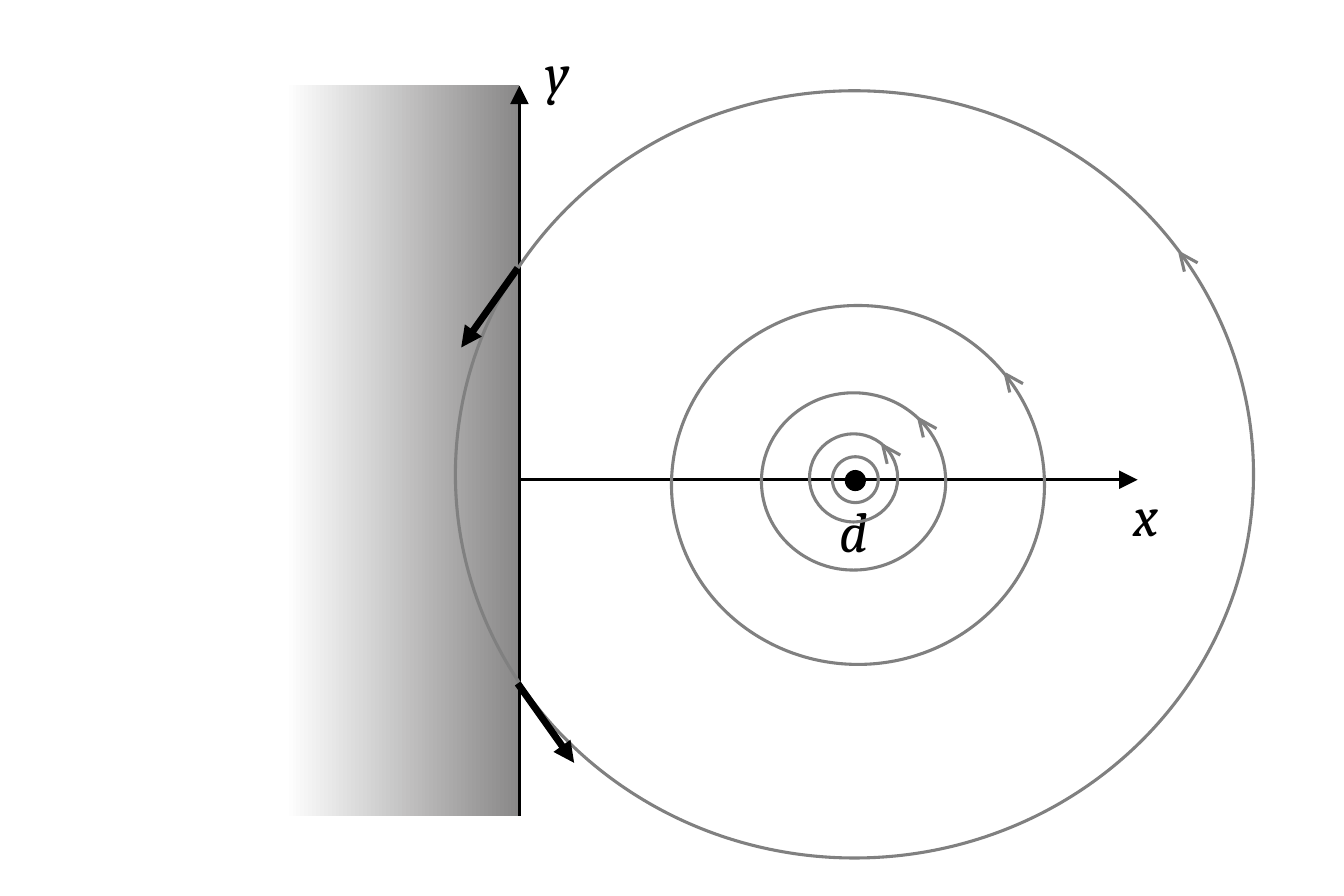
from lxml import etree
from pptx import Presentation
from pptx import util as u
from pptx.dml.color import RGBColor
from pptx.enum import shapes, text
from pptx.oxml.ns import qn

BLACK = RGBColor(0x00, 0x00, 0x00)
GRAY = RGBColor(0x80, 0x80, 0x80)
WALL_GRAY = RGBColor(0x89, 0x88, 0x88)
WHITE = RGBColor(0xFF, 0xFF, 0xFF)

prs = Presentation()
prs.slide_width, prs.slide_height = u.Cm(15.24), u.Cm(10.16)
slide = prs.slides.add_slide(prs.slide_layouts[6])


def add_line(x1, y1, x2, y2, color, width, arrow=False):
    line = slide.shapes.add_connector(
        shapes.MSO_CONNECTOR.STRAIGHT, u.Cm(x1), u.Cm(y1), u.Cm(x2), u.Cm(y2))
    line.line.color.rgb = color
    line.line.width = u.Pt(width)
    if arrow:
        etree.SubElement(line.line._get_or_add_ln(), qn("a:tailEnd"), type="triangle")
    etree.SubElement(line._element.spPr, qn("a:effectLst"))


def add_ellipse(cx, cy, width, height):
    ellipse = slide.shapes.add_shape(
        shapes.MSO_SHAPE.OVAL, u.Cm(cx - width / 2), u.Cm(cy - height / 2),
        u.Cm(width), u.Cm(height))
    ellipse.shadow.inherit = False
    return ellipse


# Wall fading out to the left
wall = slide.shapes.add_shape(
    shapes.MSO_SHAPE.RECTANGLE, u.Cm(3.23), u.Cm(0.97), u.Cm(2.66), u.Cm(8.28))
wall.shadow.inherit = False
wall.line.fill.background()
wall.fill.gradient()
wall.fill.gradient_angle = 180
for stop, position, color in zip(wall.fill.gradient_stops, (0, 1), (WALL_GRAY, WHITE)):
    stop.position = position
    stop.color.rgb = color

# Axes
add_line(5.89, 9.25, 5.89, 0.97, BLACK, 1, arrow=True)
add_line(5.89, 5.44, 12.9, 5.44, BLACK, 1, arrow=True)

# Labels of the axes and of the vortex
for label, left, top in [("y", 5.89, 0.3), ("x", 12.57, 5.33), ("d", 9.27, 5.51)]:
    box = slide.shapes.add_textbox(u.Cm(left), u.Cm(top), u.Cm(0.82), u.Cm(1.02))
    box.text_frame.word_wrap = False
    box.text_frame.auto_size = text.MSO_AUTO_SIZE.SHAPE_TO_FIT_TEXT
    paragraph = box.text_frame.paragraphs[0]
    paragraph.text = label
    paragraph.alignment = text.PP_ALIGN.RIGHT
    paragraph.font.name = "Cambria"
    paragraph.font.size = u.Pt(18)
    paragraph.font.italic = True
    paragraph.font.color.rgb = BLACK

# Vortex centre
vortex = add_ellipse(9.7, 5.45, 0.24, 0.24)
vortex.fill.solid()
vortex.fill.fore_color.rgb = BLACK
vortex.line.fill.background()

# Streamlines: centre, width, height
for cx, cy, width, height in [
    (9.7, 5.44, 0.52, 0.52),
    (9.68, 5.42, 1, 1),
    (9.68, 5.46, 2.09, 2.01),
    (9.73, 5.5, 4.23, 4.07),
    (9.69, 5.38, 9.05, 8.7),
]:
    streamline = add_ellipse(cx, cy, width, height)
    streamline.fill.background()
    streamline.line.color.rgb = GRAY
    streamline.line.width = u.Pt(1)

# Open arrowheads showing the flow direction
for tip_x, tip_y in [(10.42, 4.75), (11.4, 4.24), (10.01, 5.05), (13.38, 2.87)]:
    for dx, dy in [(0.2, 0.11), (0.05, 0.21)]:
        add_line(tip_x, tip_y, tip_x + dx, tip_y + dy, GRAY, 1)

# Velocities where the outer streamline crosses the wall
for start_y, dx in [(3.04, -0.64), (7.75, 0.64)]:
    add_line(5.87, start_y, 5.87 + dx, start_y + 0.9, BLACK, 2.25, arrow=True)

prs.save("out.pptx")
